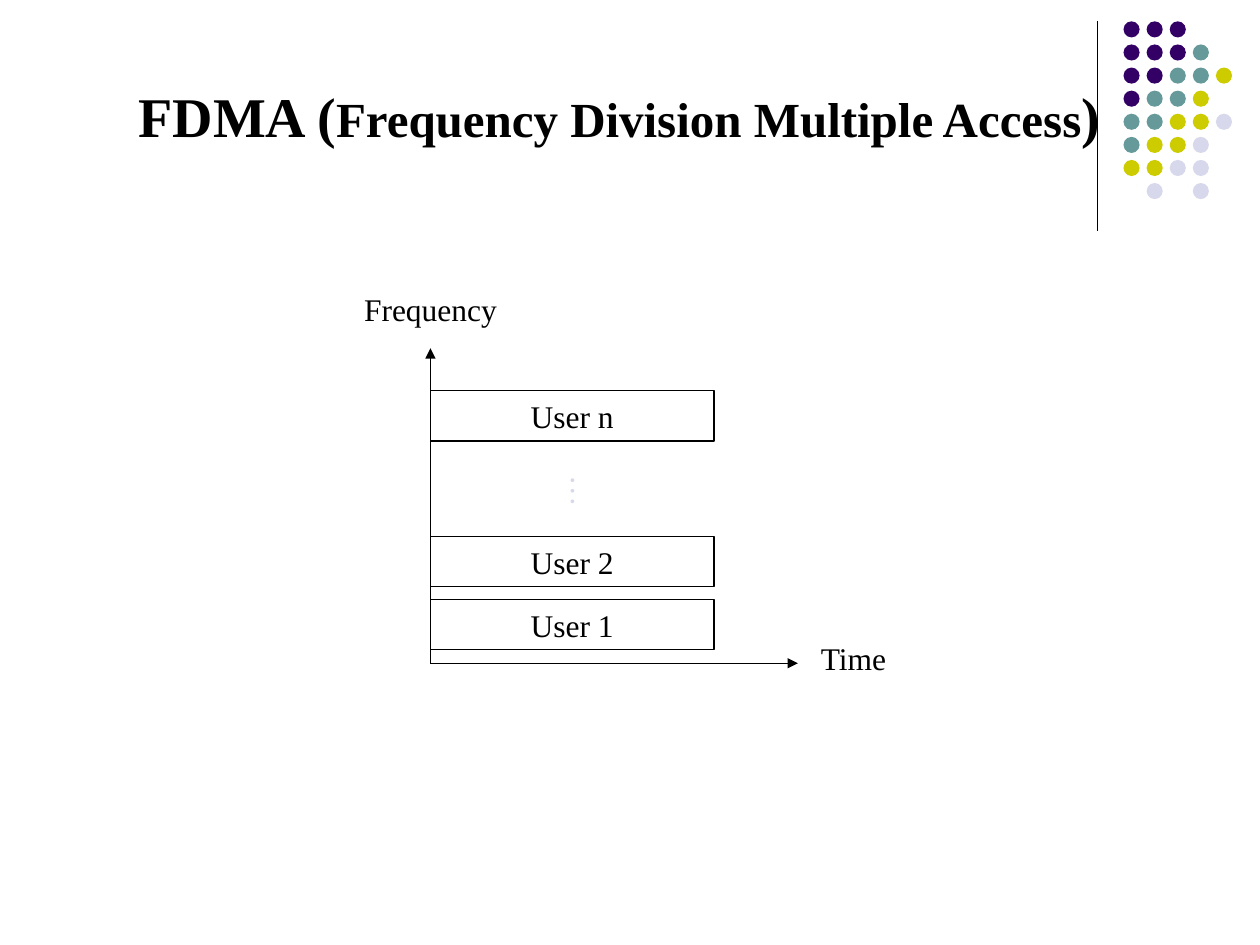
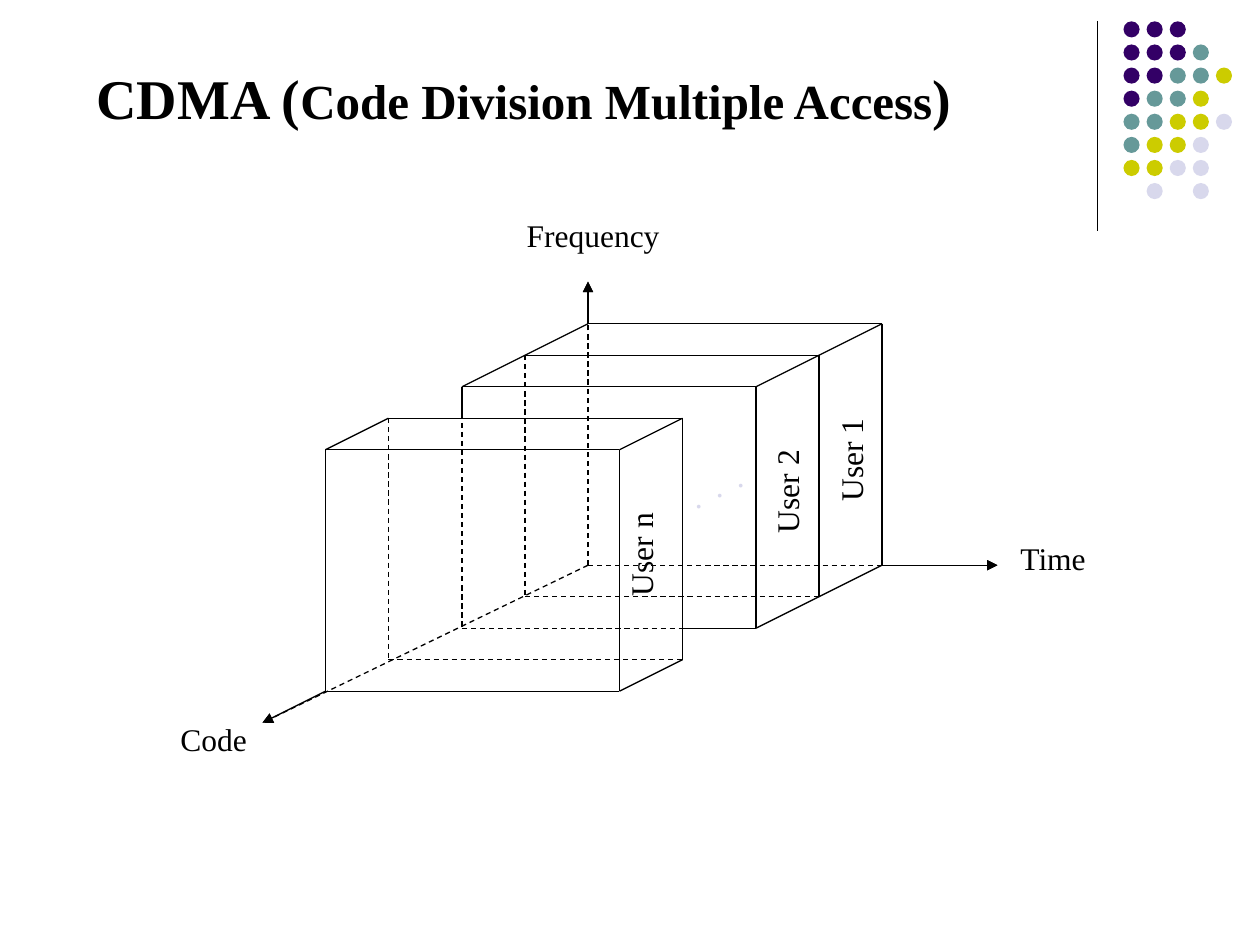
from lxml import etree
from pptx import Presentation
from pptx.dml.color import RGBColor
from pptx.enum.dml import MSO_LINE
from pptx.enum.shapes import MSO_CONNECTOR, MSO_SHAPE
from pptx.enum.text import MSO_ANCHOR, PP_ALIGN
from pptx.oxml.ns import qn
from pptx.util import Pt

COLORS = {"ink": "000000", "purple": "330066", "teal": "669999",
          "yellow": "CCCC00", "lilac": "D8D8EC"}
FONT = "Times New Roman"
LABEL_HEIGHT = 28.8
LEFT, CENTER = PP_ALIGN.LEFT, PP_ALIGN.CENTER

# Corner ornament: one letter per dot, one string per row
DOT_ROWS = ["PPP", "PPPT", "PPTTY", "PTTY", "TTYYL", "TYYL", "YYLL", " L L"]
DOT_COLORS = {"P": "purple", "T": "teal", "Y": "yellow", "L": "lilac"}
DOT_SIZE, DOT_STEP = 9.2, 13.2


def add_line(slide, start, end, dashed=False, arrow=False):
    line = slide.shapes.add_connector(
        MSO_CONNECTOR.STRAIGHT, *(Pt(value) for value in (*start, *end)))
    line.line.color.rgb = RGBColor.from_string(COLORS["ink"])
    line.line.width = Pt(0.75)
    if dashed:
        line.line.dash_style = MSO_LINE.DASH
    if arrow:
        etree.SubElement(line.line._get_or_add_ln(), qn("a:tailEnd"), type="triangle")
    etree.SubElement(line._element.spPr, qn("a:effectLst"))


def add_text(slide, box, runs, alignment=LEFT, color="ink", rotation=0,
             outlined=False, bold=False, anchor=MSO_ANCHOR.TOP):
    place = [Pt(value) for value in box]
    if outlined:
        shape = slide.shapes.add_shape(MSO_SHAPE.RECTANGLE, *place)
        shape.shadow.inherit = False
        shape.fill.background()
        shape.line.color.rgb = RGBColor.from_string(COLORS["ink"])
        shape.line.width = Pt(0.75)
    else:
        shape = slide.shapes.add_textbox(*place)
    shape.rotation = rotation
    shape.text_frame.word_wrap = True
    shape.text_frame.vertical_anchor = anchor
    paragraph = shape.text_frame.paragraphs[0]
    paragraph.alignment = alignment
    for text, size in runs:
        run = paragraph.add_run()
        run.text = text
        run.font.name = FONT
        run.font.size = Pt(size)
        run.font.bold = bold
        run.font.color.rgb = RGBColor.from_string(COLORS[color])


presentation = Presentation()
presentation.slide_width, presentation.slide_height = Pt(720), Pt(540)

# Shared parts: divider, dot ornament and title
slides = []
for short_name, full_name, title_box in [
    ("FDMA", "Frequency Division Multiple Access", (72, 18, 641, 70.5)),
    ("CDMA", "Code Division Multiple Access", (48, 6, 641, 72)),
]:
    slide = presentation.slides.add_slide(presentation.slide_layouts[6])
    slides.append(slide)
    add_line(slide, (627, 12), (627, 132))
    for row, letters in enumerate(DOT_ROWS):
        for column, letter in enumerate(letters):
            if letter == " ":
                continue
            dot = slide.shapes.add_shape(
                MSO_SHAPE.OVAL, Pt(642 + column * DOT_STEP), Pt(12.2 + row * DOT_STEP),
                Pt(DOT_SIZE), Pt(DOT_SIZE))
            dot.shadow.inherit = False
            dot.fill.solid()
            dot.fill.fore_color.rgb = RGBColor.from_string(COLORS[DOT_COLORS[letter]])
            dot.line.fill.background()
    add_text(slide, title_box,
             [(f"{short_name} (", 32), (full_name, 28), (")", 32)],
             bold=True, anchor=MSO_ANCHOR.BOTTOM)

fdma_slide, cdma_slide = slides

# FDMA: axes and one frequency band per user
fdma_origin = (246, 379)
add_line(fdma_slide, fdma_origin, (456, 379), arrow=True)
add_line(fdma_slide, fdma_origin, (246, 199), arrow=True)
for user, top in [("User 1", 342.6), ("User 2", 306.6), ("User n", 223.2)]:
    add_text(fdma_slide, (246, top, 162, LABEL_HEIGHT), [(user, 18)], CENTER, outlined=True)
add_text(fdma_slide, (312.5, 271.4, 42, LABEL_HEIGHT), [("…", 18)],
         color="lilac", rotation=90)
add_text(fdma_slide, (462, 361.5, 72, LABEL_HEIGHT), [("Time", 18)])
add_text(fdma_slide, (186, 162, 120, LABEL_HEIGHT), [("Frequency", 18)], CENTER)

# CDMA: dashed axes, solid where they leave the blocks
cdma_origin = (336, 323)
for solid_start, tip in [((504, 323), (570, 323)),
                         ((336, 185), (336, 161)),
                         ((186, 395), (150, 413))]:
    add_line(cdma_slide, cdma_origin, tip, dashed=True, arrow=True)
    add_line(cdma_slide, solid_start, tip, arrow=True)

# CDMA: upright planes from back to front
PLANE_WIDTH, PLANE_HEIGHT = 168, 138
plane_lefts = [336, 300, 264, 222, 186]
corners = []
for index, left in enumerate(plane_lefts):
    top = 185 + 18 * index
    right, bottom = left + PLANE_WIDTH, top + PLANE_HEIGHT
    corners.append([(left, top), (right, top), (right, bottom)])
    add_line(cdma_slide, (left, top), (right, top))
    add_line(cdma_slide, (right, top), (right, bottom))
    if index > 0:
        hidden = index < len(plane_lefts) - 1
        add_line(cdma_slide, (left, top), (left, bottom), dashed=hidden)
        add_line(cdma_slide, (left, bottom), (right, bottom), dashed=hidden)

# Slanted edges join neighbouring planes, except across the gap before user n
for back, front in [(0, 1), (1, 2), (3, 4)]:
    for start, end in zip(corners[back], corners[front]):
        add_line(cdma_slide, start, end)

# Visible parts of the edges behind the front block
add_line(cdma_slide, (390, 359), (432, 359))
add_line(cdma_slide, (264, 221), (264, 239))

# CDMA: labels
for user, left, top in [("User 1", 426, 248.4), ("User 2", 389.5, 266.4),
                        ("User n", 306, 302.4)]:
    add_text(cdma_slide, (left, top, 120, LABEL_HEIGHT), [(user, 18)], CENTER, rotation=270)
for axis, left, top, width, alignment in [
    ("Time", 576, 304.5, 90, LEFT),
    ("Frequency", 264, 120, 150, CENTER),
    ("Code", 96, 408, 90, LEFT),
]:
    add_text(cdma_slide, (left, top, width, LABEL_HEIGHT), [(axis, 18)], alignment)
for step in range(3):
    add_text(cdma_slide, (414 - 12 * step, 257 + 6 * step, 24, LABEL_HEIGHT),
             [(".", 18)], color="lilac")

presentation.save("out.pptx")
